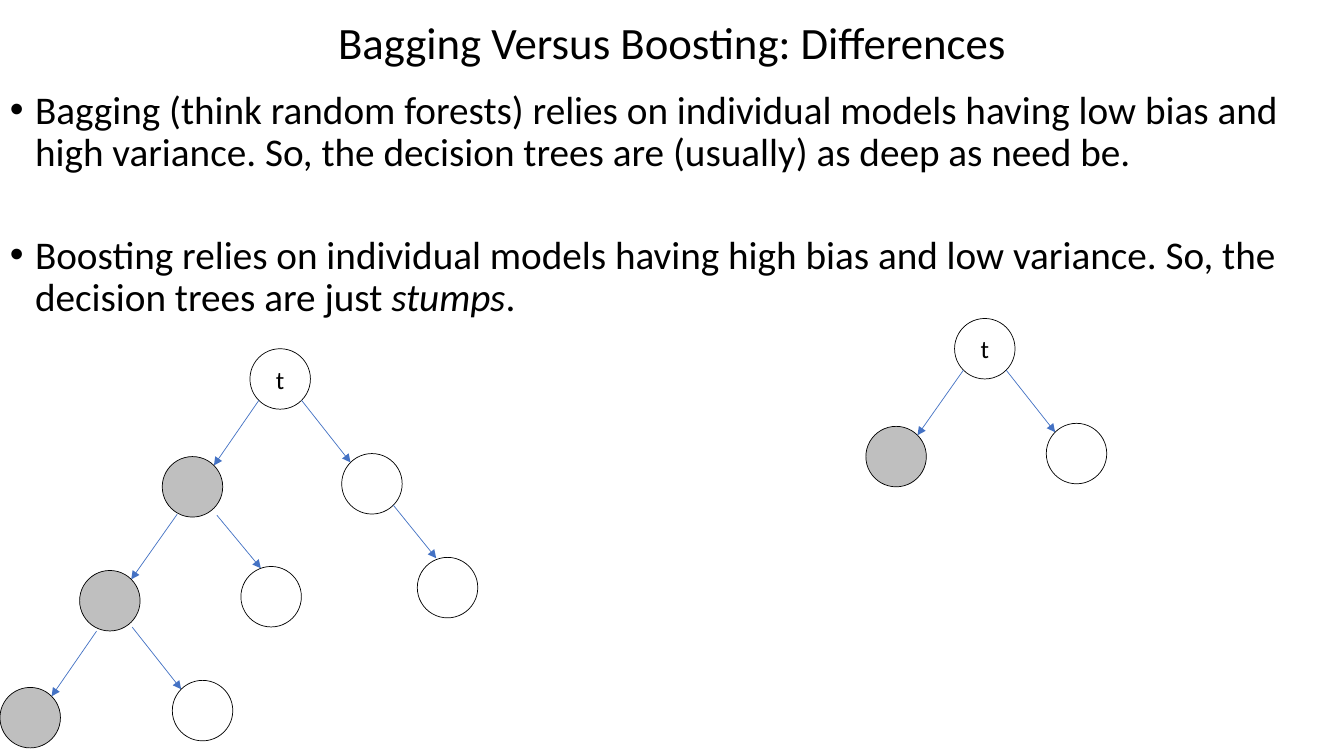
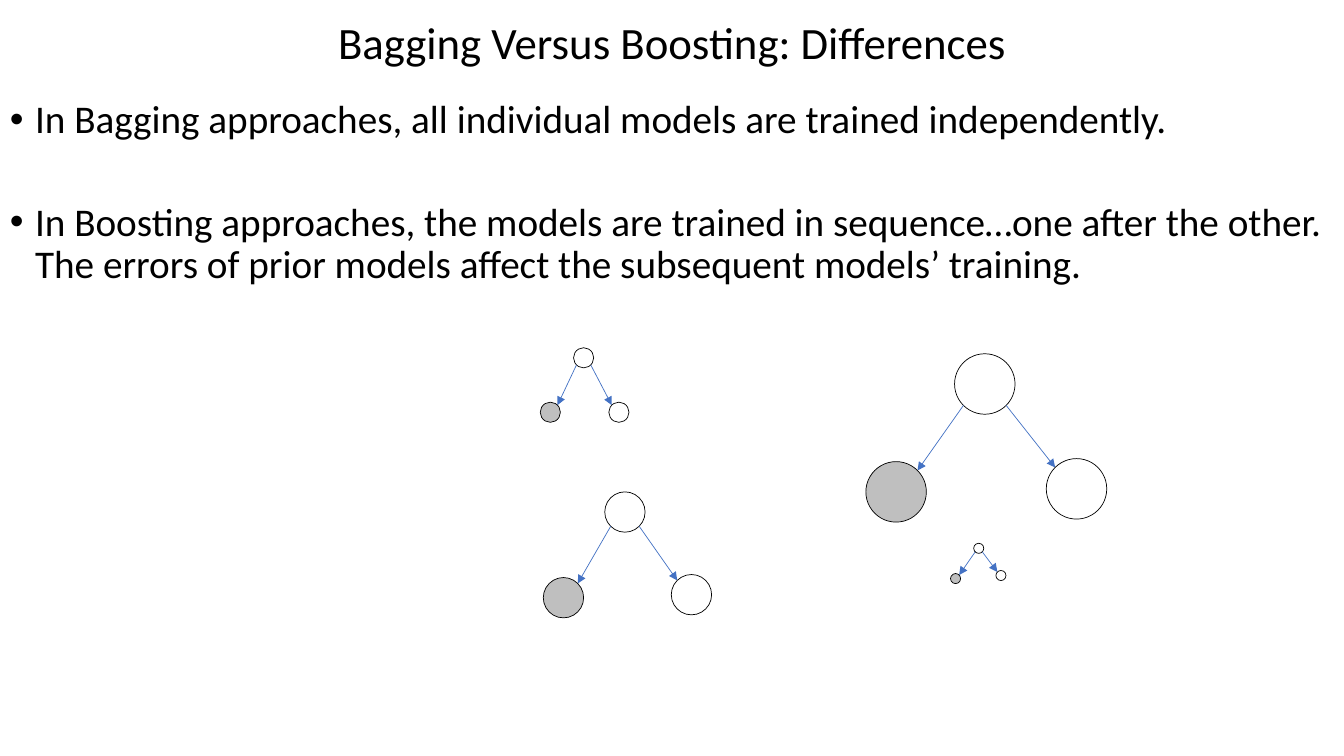
from dataclasses import dataclass
from math import sqrt

from lxml import etree
from pptx import Presentation
from pptx.dml.color import RGBColor
from pptx.enum.shapes import MSO_CONNECTOR, MSO_SHAPE
from pptx.enum.text import MSO_ANCHOR, PP_ALIGN
from pptx.oxml.ns import qn
from pptx.util import Inches, Pt

OVAL = MSO_SHAPE.OVAL
STRAIGHT = MSO_CONNECTOR.STRAIGHT
CENTER = PP_ALIGN.CENTER
TOP, MIDDLE = MSO_ANCHOR.TOP, MSO_ANCHOR.MIDDLE

# Shared style; one grid cell is a tenth of an inch
CELL = 0.1
COLUMNS, ROWS = 133.33, 75
FONT = "Calibri"
COLORS = {"text": "000000", "outline": "000000", "leaf": "BFBFBF", "arrow": "4472C4"}
TITLE = "Bagging Versus Boosting: Differences"
TITLE_SIZE, BODY_SIZE, LABEL_SIZE = 32, 28, 18
LINE_SPACING = 0.9
LINE_WIDTH = Pt(0.5)
BULLET_INDENT = Inches(0.25)
BULLET_GAP = Pt(43)


@dataclass(frozen=True)
class Run:
    text: str
    italic: bool = False


@dataclass(frozen=True)
class Node:
    """Tree node by its top left cell; children hang below it.

    start_shift and end_shift move the ends of the arrow from its parent.
    """
    column: float
    row: float
    shaded: bool = False
    label: str = ""
    children: tuple["Node", ...] = ()
    start_shift: tuple[float, float] = (0, 0)
    end_shift: tuple[float, float] = (0, 0)


@dataclass(frozen=True)
class Tree:
    root: Node
    diameter: float = 6


@dataclass(frozen=True)
class SlideContent:
    body_row: float
    bullets: tuple[tuple[Run, ...], ...]
    trees: tuple[Tree, ...]


def stump(column: float, row: float, left: tuple[float, float],
          right: tuple[float, float], diameter: float = 6, label: str = "") -> Tree:
    """A root with a shaded left leaf and a plain right leaf."""
    leaves = (Node(column + left[0], row + left[1], shaded=True),
              Node(column + right[0], row + right[1]))
    return Tree(Node(column, row, label=label, children=leaves), diameter)


LARGE_LEFT, LARGE_RIGHT = (-8.8, 10.7), (9.1, 10.4)

DEEP_TREE = Tree(Node(24.8, 34.6, label="t", children=(
    Node(16.1, 45.3, shaded=True, children=(
        Node(7.9, 56.6, shaded=True, start_shift=(0.6, 0.6), children=(
            Node(0, 68.2, shaded=True, start_shift=(0.8, 0.9)),
            Node(17.1, 67.5, start_shift=(0.1, 0.5)),
        )),
        Node(23.9, 56.2, start_shift=(0.3, 0.7), end_shift=(1.1, -0.7)),
    )),
    Node(33.9, 45, children=(
        Node(41.4, 55.3, end_shift=(1, -0.8)),
    )),
)))

SLIDES = (
    SlideContent(
        8.5,
        ((Run("Bagging (think random forests) relies on individual models having low "
              "bias and high variance. So, the decision trees are (usually) as deep as "
              "need be."),),
         (Run("Boosting relies on individual models having high bias and low variance. "
              "So, the decision trees are just "), Run("stumps", italic=True), Run("."))),
        (DEEP_TREE, stump(94.7, 31.6, LARGE_LEFT, LARGE_RIGHT, label="t")),
    ),
    SlideContent(
        9.4,
        ((Run("In Bagging approaches, all individual models are trained independently."),),
         (Run("In Boosting approaches, the models are trained in sequence…one after the "
              "other. The errors of prior models affect the subsequent models’ "
              "training."),)),
        (stump(94.7, 35.1, LARGE_LEFT, LARGE_RIGHT),
         stump(56.9, 34.5, (-3.3, 5.4), (3.5, 5.4), 2),
         stump(60, 48.8, (-6.1, 8.5), (6.6, 8.2), 4),
         stump(96.6, 53.9, (-2.3, 3), (2.2, 2.7), 1)),
    ),
)


def cells(count: float) -> int:
    return Inches(count * CELL)


def color(name: str) -> RGBColor:
    return RGBColor.from_string(COLORS[name])


def add_run(paragraph, content: Run, size: float) -> None:
    run = paragraph.add_run()
    run.text = content.text
    run.font.name = FONT
    run.font.size = Pt(size)
    run.font.color.rgb = color("text")
    if content.italic:
        run.font.italic = True


def add_text_frame(slide, column: float, row: float, width: float, height: float, anchor):
    box = slide.shapes.add_textbox(cells(column), cells(row), cells(width), cells(height))
    frame = box.text_frame
    frame.word_wrap = True
    frame.vertical_anchor = anchor
    return frame


def add_title(slide) -> None:
    frame = add_text_frame(slide, 9.2, 0.4, 115, 8.1, MIDDLE)
    paragraph = frame.paragraphs[0]
    paragraph.alignment = CENTER
    paragraph.line_spacing = LINE_SPACING
    add_run(paragraph, Run(TITLE), TITLE_SIZE)


def add_bullets(slide, row: float, bullets: tuple[tuple[Run, ...], ...]) -> None:
    frame = add_text_frame(slide, 0, row, COLUMNS, 23.8, TOP)
    for index, runs in enumerate(bullets):
        paragraph = frame.add_paragraph() if index else frame.paragraphs[0]
        paragraph.line_spacing = LINE_SPACING
        paragraph.space_before = BULLET_GAP if index else Pt(0)
        properties = paragraph._p.get_or_add_pPr()
        properties.set("marL", str(BULLET_INDENT))
        properties.set("indent", str(-BULLET_INDENT))
        etree.SubElement(properties, qn("a:buFont")).set("typeface", "Arial")
        etree.SubElement(properties, qn("a:buChar")).set("char", "•")
        for run in runs:
            add_run(paragraph, run, BODY_SIZE)


def add_arrow(slide, parent: Node, child: Node, diameter: float) -> None:
    """Join the diagonal points of the two circles that face each other."""
    radius = diameter / 2
    reach = radius / sqrt(2)
    side = 1 if child.column > parent.column else -1
    start = (parent.column + radius + side * reach + child.start_shift[0],
             parent.row + radius + reach + child.start_shift[1])
    end = (child.column + radius - side * reach + child.end_shift[0],
           child.row + radius - reach + child.end_shift[1])
    arrow = slide.shapes.add_connector(STRAIGHT, *map(cells, start + end))
    arrow.line.color.rgb = color("arrow")
    arrow.line.width = LINE_WIDTH
    etree.SubElement(arrow.line._get_or_add_ln(), qn("a:tailEnd")).set("type", "triangle")
    etree.SubElement(arrow._element.spPr, qn("a:effectLst"))


def add_node(slide, node: Node, diameter: float) -> None:
    """Draw a node and, below it, its whole subtree."""
    circle = slide.shapes.add_shape(OVAL, cells(node.column), cells(node.row),
                                    cells(diameter), cells(diameter))
    circle.shadow.inherit = False
    circle.line.color.rgb = color("outline")
    circle.line.width = LINE_WIDTH
    if node.shaded:
        circle.fill.solid()
        circle.fill.fore_color.rgb = color("leaf")
    else:
        circle.fill.background()
    if node.label:
        frame = circle.text_frame
        frame.word_wrap = False
        frame.vertical_anchor = MIDDLE
        frame.margin_left = frame.margin_right = frame.margin_top = frame.margin_bottom = 0
        frame.paragraphs[0].alignment = CENTER
        add_run(frame.paragraphs[0], Run(node.label), LABEL_SIZE)
    for child in node.children:
        add_arrow(slide, node, child, diameter)
        add_node(slide, child, diameter)


def main() -> None:
    presentation = Presentation()
    presentation.slide_width = cells(COLUMNS)
    presentation.slide_height = cells(ROWS)
    blank_layout = presentation.slide_layouts[6]
    for content in SLIDES:
        slide = presentation.slides.add_slide(blank_layout)
        add_title(slide)
        add_bullets(slide, content.body_row, content.bullets)
        for tree in content.trees:
            add_node(slide, tree.root, tree.diameter)
    presentation.save("out.pptx")


if __name__ == "__main__":
    main()
